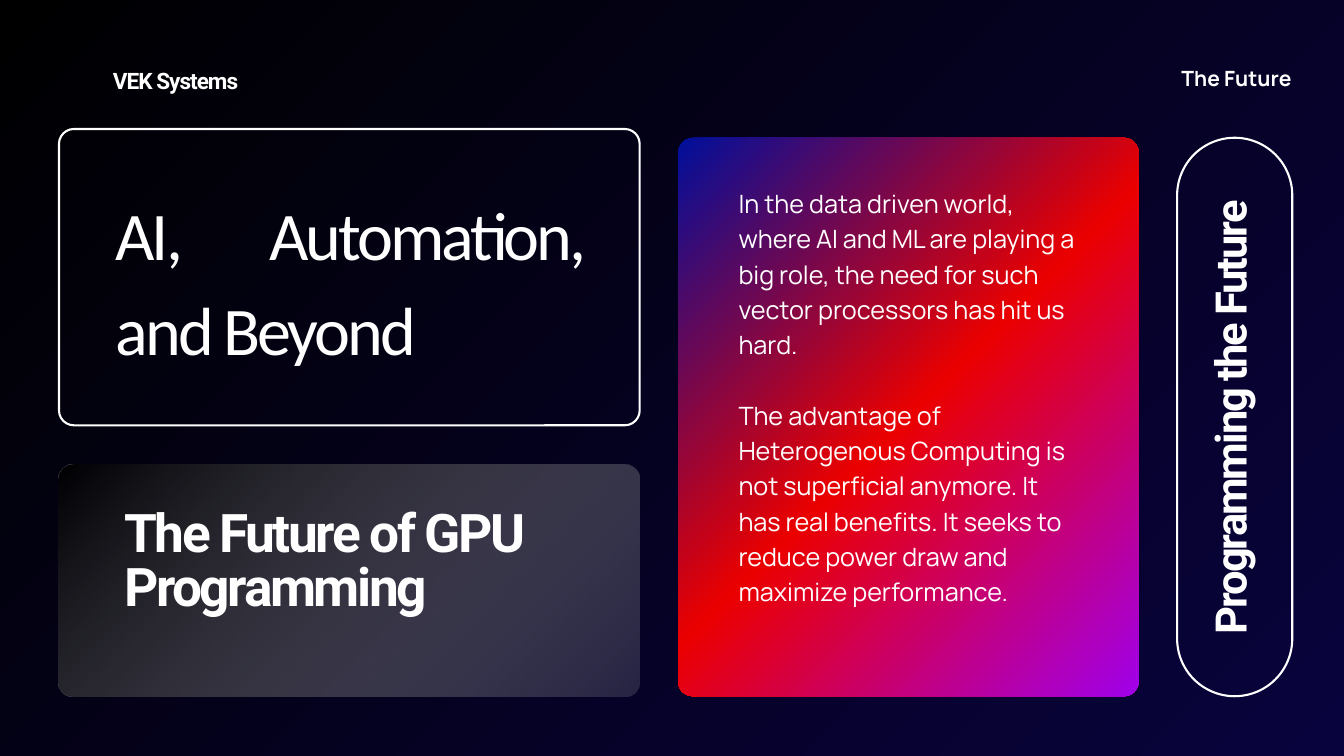
import pptx
import pptx.dml.color
import pptx.enum.shapes
import pptx.enum.text
import pptx.oxml
import pptx.oxml.ns
import pptx.util
from dataclasses import dataclass
from lxml import etree

Pt = pptx.util.Pt
Align = pptx.enum.text.PP_ALIGN
Shape = pptx.enum.shapes.MSO_SHAPE


@dataclass(frozen=True)
class Theme:
    white: str = "FFFFFF"
    background: tuple = ((0, "000000", 100), (100, "09033D", 100))
    vivid: tuple = ((0, "000F9B", 100), (50, "EB0000", 100), (100, "A000EB", 100))
    glass: tuple = ((0, "000000", 78), (100, "DDDDDD", 15))
    display_font: str = "Calibri"
    heading_font: str = "Roboto"
    body_font: str = "Manrope"
    title_size: float = 73
    heading_size: float = 57
    vertical_size: float = 46.5
    body_size: float = 27
    brand_size: float = 24.2
    label_size: float = 22.5
    outline: float = 2.25
    radius: float = 16


THEME = Theme()


def set_gradient(fill, element, stops):
    fill.gradient()
    fill.gradient_angle = 315
    stop_list = element.xpath(".//a:gsLst")[0]
    for stop in list(stop_list):
        stop_list.remove(stop)
    for position, color, opacity in stops:
        stop = etree.SubElement(stop_list, pptx.oxml.ns.qn("a:gs"), pos=str(position * 1000))
        color_element = etree.SubElement(stop, pptx.oxml.ns.qn("a:srgbClr"), val=color)
        if opacity < 100:
            etree.SubElement(color_element, pptx.oxml.ns.qn("a:alpha"), val=str(opacity * 1000))


def add_card(slide, left, top, width, height, stops=None, radius=THEME.radius):
    shape = slide.shapes.add_shape(
        Shape.ROUNDED_RECTANGLE, Pt(left), Pt(top), Pt(width), Pt(height))
    shape.shadow.inherit = False
    shape.adjustments[0] = radius / min(width, height)
    if stops:
        set_gradient(shape.fill, shape.element, stops)
        shape.line.fill.background()
    else:
        shape.fill.background()
        shape.line.color.rgb = pptx.dml.color.RGBColor.from_string(THEME.white)
        shape.line.width = Pt(THEME.outline)


def write_text(shape, *texts, font, size, line, bold=False, tracking=0,
               align=Align.LEFT, gap=0):
    frame = shape.text_frame
    frame.word_wrap = True
    frame.auto_size = pptx.enum.text.MSO_AUTO_SIZE.NONE
    frame.vertical_anchor = pptx.enum.text.MSO_ANCHOR.TOP
    frame.margin_left = frame.margin_right = frame.margin_top = frame.margin_bottom = 0
    for index, text in enumerate(texts):
        paragraph = frame.add_paragraph() if index else frame.paragraphs[0]
        paragraph.alignment = align
        paragraph.line_spacing = Pt(line)
        if index:
            paragraph.space_before = Pt(gap)
        run = paragraph.add_run()
        run.text = text
        run.font.name = font
        run.font.size = Pt(size)
        run.font.bold = bold
        run.font.color.rgb = pptx.dml.color.RGBColor.from_string(THEME.white)
        if tracking:
            run.font._element.set("spc", str(round(tracking * 100)))


def place(shape, left, top, width, height):
    shape.left, shape.top = Pt(left), Pt(top)
    shape.width, shape.height = Pt(width), Pt(height)


def add_text(slide, left, top, width, height, *texts, rotation=0, **text_format):
    box = slide.shapes.add_textbox(Pt(left), Pt(top), Pt(width), Pt(height))
    box.rotation = rotation
    write_text(box, *texts, **text_format)


def add_cards(slide):
    column_left, column_width = 63.2, 622.2
    panel_top, panel_height = 147.6, 598.4
    add_card(slide, 726.5, panel_top, 493.5, panel_height, THEME.vivid)
    add_card(slide, column_left, 138.2, column_width, 317.5)
    add_card(slide, column_left, 498.2, column_width, 247.8, THEME.glass)
    add_card(slide, 1261.2, panel_top, 123.4, panel_height, radius=61.7)


def main():
    presentation = pptx.Presentation()
    presentation.slide_width = Pt(1440)
    presentation.slide_height = Pt(810)
    slide = presentation.slides.add_slide(presentation.slide_layouts[5])
    set_gradient(slide.background.fill, slide.element, THEME.background)
    add_cards(slide)

    title = slide.shapes.title
    place(title, 123.8, 191.5, 501.1, 199.4)
    write_text(title, "AI, Automation, and Beyond", font=THEME.display_font,
               size=THEME.title_size, line=102.2, tracking=-3.2, align=Align.JUSTIFY)
    add_text(slide, 791.3, 196.6, 365, 488.2,
             "In the data driven world, where AI and ML are playing a big role, "
             "the need for such vector processors has hit us hard.",
             "The advantage of Heterogenous Computing is not superficial anymore. "
             "It has real benefits. It seeks to reduce power draw and maximize performance.",
             font=THEME.body_font, size=THEME.body_size, line=37.8, gap=37.8)
    add_text(slide, 133.2, 545, 481.7, 123.8, "The Future of GPU Programming",
             font=THEME.heading_font, size=THEME.heading_size, line=58.1,
             bold=True, tracking=-2.6)
    add_text(slide, 1039, 420.5, 570.2, 53.3, "Programming the Future", rotation=270,
             font=THEME.heading_font, size=THEME.vertical_size, line=47.4,
             bold=True, tracking=-2.1, align=Align.CENTER)
    add_text(slide, 121, 67, 211.7, 33.8, "VEK Systems",
             font=THEME.heading_font, size=THEME.brand_size, line=33.9,
             bold=True, tracking=-1.1)
    add_text(slide, 1172.2, 66.2, 211.7, 32.4, "The Future",
             font=THEME.body_font, size=THEME.label_size, line=31.5,
             bold=True, align=Align.RIGHT)
    presentation.save("out.pptx")


if __name__ == "__main__":
    main()
